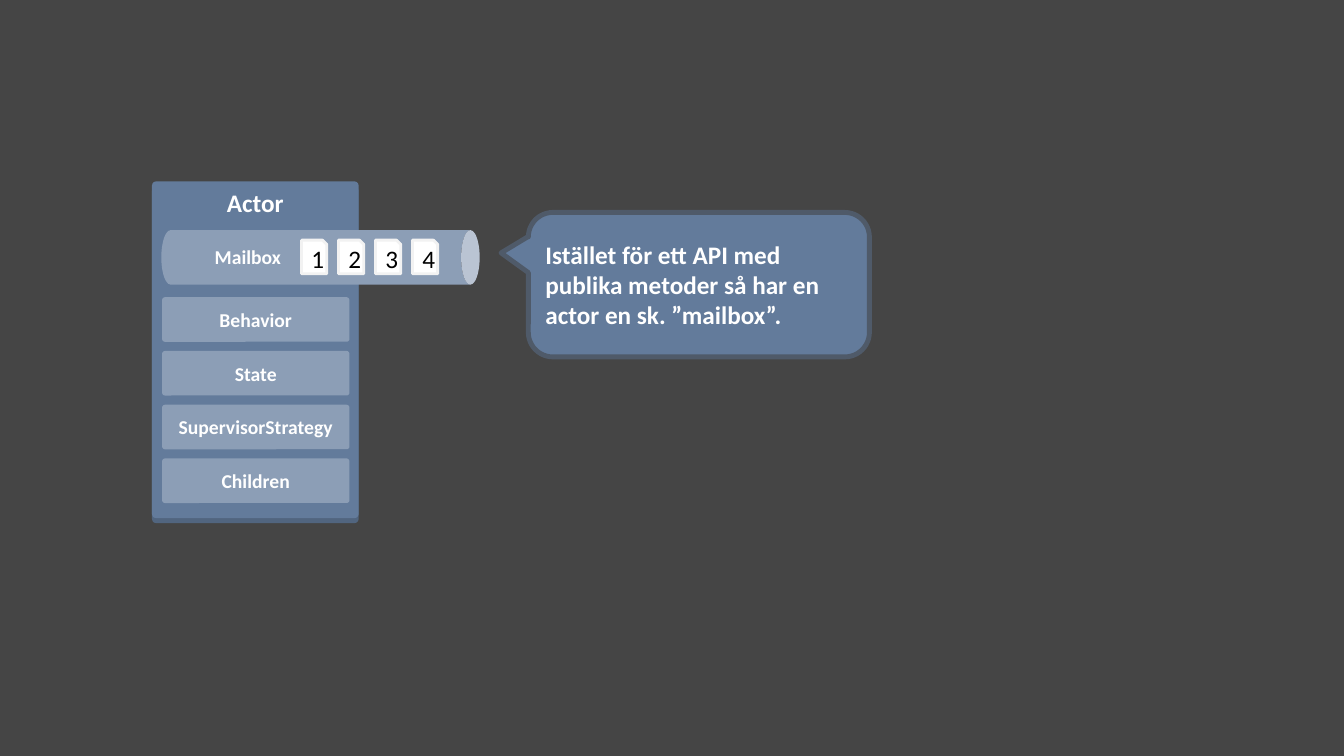
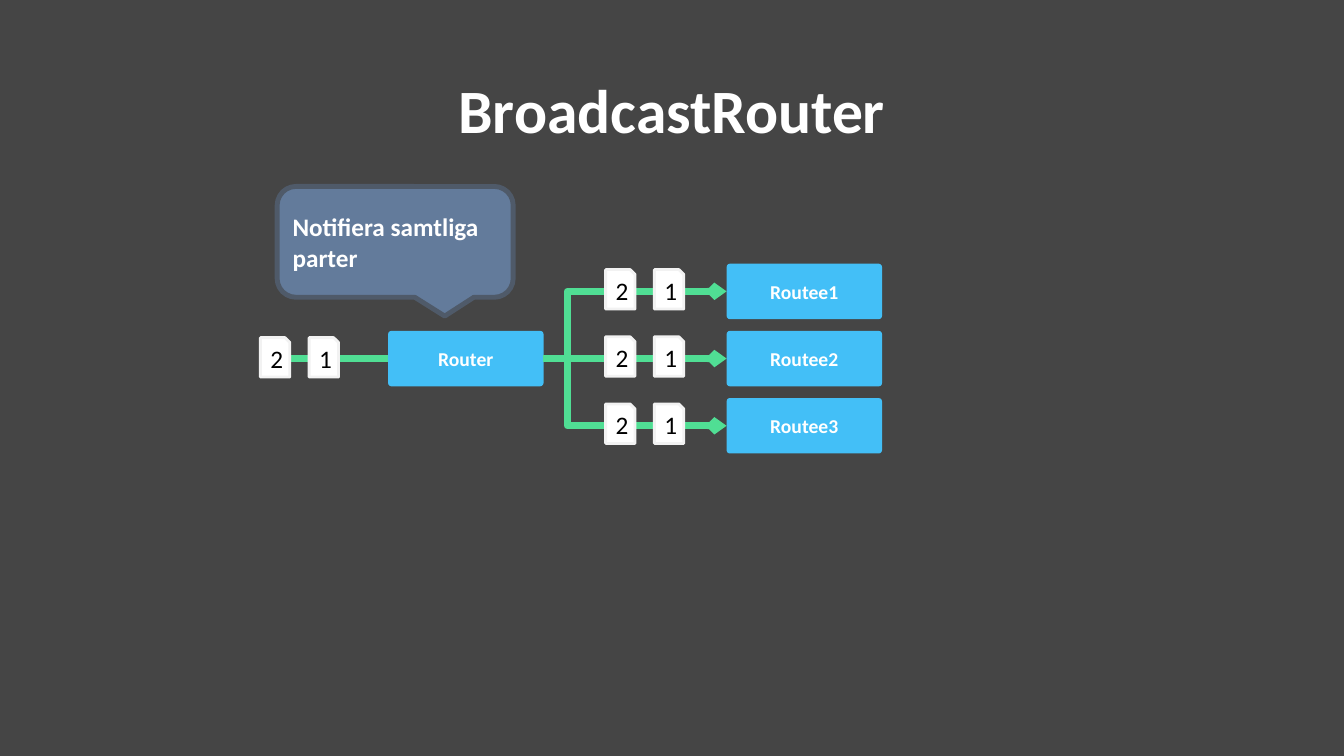
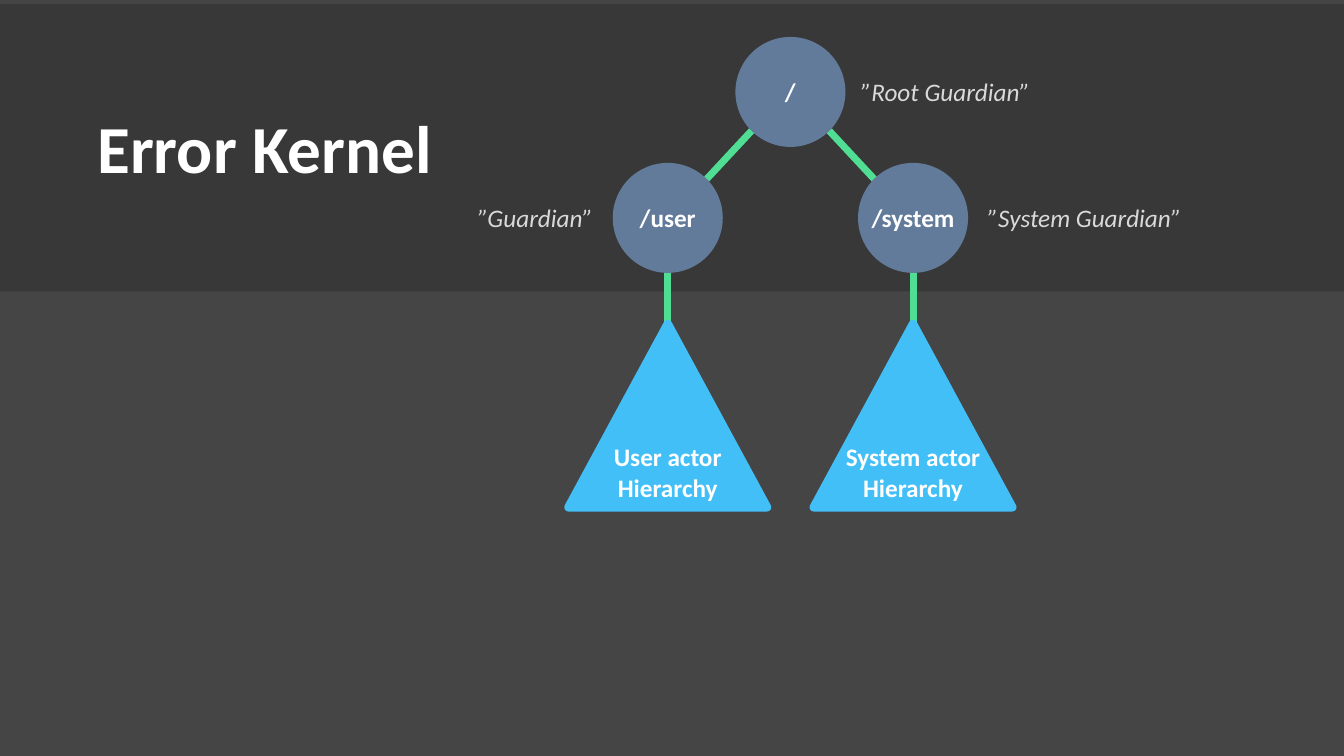
import dataclasses
import math

import pptx
import pptx.dml.color
import pptx.enum.shapes
import pptx.enum.text
import pptx.oxml
import pptx.oxml.ns
import pptx.util

SHAPE = pptx.enum.shapes.MSO_SHAPE
CONNECTOR = pptx.enum.shapes.MSO_CONNECTOR
ALIGN = pptx.enum.text.PP_ALIGN
ANCHOR = pptx.enum.text.MSO_ANCHOR
NAMESPACE = pptx.oxml.ns.nsdecls("a")

# The slide is a grid of 16 columns and 9 rows with square cells.
SLIDE_WIDTH = pptx.util.Inches(13.33)
SLIDE_HEIGHT = pptx.util.Inches(7.5)
CELL = SLIDE_WIDTH / 16

FONT = "Calibri"
WHITE, BLACK = "FFFFFF", "000000"
BACKGROUND, BAND = "454545", "262626"
STEEL, STEEL_DARK, STEEL_LIGHT, STEEL_EDGE = "637B9B", "51657F", "8C9EB6", "4F5A69"
SKY, GREEN = "43BFF7", "50DE94"
NOTE_EDGE, CAPTION = "F2F2F2", "D9D9D9"
CORNER = 0.06


@dataclasses.dataclass(frozen=True)
class Box:
    """A rectangle on the grid, in cells."""
    left: float
    top: float
    width: float
    height: float

    def offset(self, right, down, width, height):
        """Return a box placed relative to this one's top left corner."""
        return Box(self.left + right, self.top + down, width, height)

    def center(self):
        return self.left + self.width / 2, self.top + self.height / 2

    def emu(self):
        return [cells(value) for value in dataclasses.astuple(self)]


def cells(count):
    return pptx.util.Emu(round(count * CELL))


def color(hex_string):
    return pptx.dml.color.RGBColor.from_string(hex_string)


def write(shape, text, size=18, text_color=WHITE, bold=True, italic=False,
          align=ALIGN.CENTER, anchor=ANCHOR.MIDDLE, wrap=True, line_spacing=None):
    """Fill the shape with text, one paragraph for each line."""
    frame = shape.text_frame
    frame.word_wrap = wrap
    frame.vertical_anchor = anchor
    for index, line in enumerate(text.split("\n")):
        paragraph = frame.add_paragraph() if index else frame.paragraphs[0]
        paragraph.alignment = align
        paragraph.line_spacing = line_spacing
        run = paragraph.add_run()
        run.text = line
        run.font.name = FONT
        run.font.size = pptx.util.Pt(size)
        run.font.bold = bold
        run.font.italic = italic
        run.font.color.rgb = color(text_color)


def add_text(slide, box, text, **text_format):
    shape = slide.shapes.add_textbox(*box.emu())
    write(shape, text, **text_format)


def round_joins(line):
    line._get_or_add_ln().append(pptx.oxml.parse_xml(f"<a:round {NAMESPACE}/>"))


def add_shape(slide, kind, box, fill, text="", line=None, line_width=1,
              adjustments=(), **text_format):
    shape = slide.shapes.add_shape(kind, *box.emu())
    shape.shadow.inherit = False
    shape.fill.solid()
    shape.fill.fore_color.rgb = color(fill)
    if line:
        shape.line.color.rgb = color(line)
        shape.line.width = pptx.util.Pt(line_width)
        round_joins(shape.line)
    else:
        shape.line.fill.background()
    for index, value in enumerate(adjustments):
        shape.adjustments[index] = value
    if text:
        write(shape, text, **text_format)
    return shape


def add_link(slide, start, end, elbow=None, arrow=False):
    """Draw a green line; elbow is the share of its width where it bends."""
    kind = CONNECTOR.STRAIGHT if elbow is None else CONNECTOR.ELBOW
    link = slide.shapes.add_connector(kind, *[cells(value) for value in (*start, *end)])
    link.line.color.rgb = color(GREEN)
    link.line.width = pptx.util.Pt(5)
    round_joins(link.line)
    properties = link._element.spPr
    if arrow:
        link.line._get_or_add_ln().append(pptx.oxml.parse_xml(
            f'<a:tailEnd {NAMESPACE} type="arrow" w="sm" len="sm"/>'))
    if elbow is not None:
        guides = properties.find(pptx.oxml.ns.qn("a:prstGeom")).get_or_add_avLst()
        guides.append(pptx.oxml.parse_xml(
            f'<a:gd {NAMESPACE} name="adj1" fmla="val {round(elbow * 100000)}"/>'))
    properties.append(pptx.oxml.parse_xml(f"<a:effectLst {NAMESPACE}/>"))
    return link


def add_note(slide, box, number):
    add_shape(slide, SHAPE.SNIP_1_RECTANGLE, box, WHITE, str(number), line=NOTE_EDGE,
              line_width=2, text_color=BLACK, bold=False)


def add_label_box(slide, box, fill, text):
    return add_shape(slide, SHAPE.ROUNDED_RECTANGLE, box, fill, text, size=14,
                     adjustments=[CORNER])


def add_callout(slide, box, text, pointer):
    add_shape(slide, SHAPE.ROUNDED_RECTANGULAR_CALLOUT, box, STEEL, text,
              line=STEEL_EDGE, line_width=3.5, adjustments=[*pointer, 0.17],
              align=ALIGN.LEFT)


def add_mailbox(slide, box):
    """Draw a lying cylinder that holds four notes."""
    middle, center = box.center()
    upright = Box(middle - box.height / 2, center - box.width / 2, box.height, box.width)
    cylinder = add_shape(slide, SHAPE.CAN, upright, STEEL_LIGHT, adjustments=[0.34])
    cylinder.rotation = 90
    for index in range(4):
        add_note(slide, box.offset(1.67 + index * 0.44, 0.12, 0.3, 0.4), index + 1)
    add_text(slide, box.offset(0.26, 0.17, 1.54, 0.29), "Mailbox", size=14)


def add_actor(slide, box):
    add_shape(slide, SHAPE.ROUNDED_RECTANGLE, box.offset(0, 0.06, box.width, box.height),
              STEEL_DARK, adjustments=[0.02])
    add_shape(slide, SHAPE.ROUNDED_RECTANGLE, box, STEEL, "Actor", adjustments=[0.02],
              anchor=ANCHOR.TOP)
    for index, name in enumerate(["Behavior", "State", "SupervisorStrategy", "Children"]):
        add_label_box(slide, box.offset(0.12, 1.38 + index * 0.64, 2.23, 0.53),
                      STEEL_LIGHT, name)
    add_mailbox(slide, box.offset(0.11, 0.58, 3.79, 0.65))


def add_message_pair(slide, box):
    """Put notes 2 and 1 at the left and right ends of the box."""
    note_width = 0.35
    for number, right in ((1, box.width - note_width), (2, 0)):
        add_note(slide, box.offset(right, 0, note_width, box.height), number)


def add_broadcast(slide, box):
    """Draw a router that sends its messages on to three routees."""
    step, width, height = 0.8, 1.85, 0.66
    router_box = box.offset(1.52, step, width, height)
    router = add_label_box(slide, router_box, SKY, "Router")
    middle = router_box.center()[1]
    output = (router_box.left + width, middle)
    incoming = add_link(slide, (box.left + 0.2, middle), (router_box.left, middle))
    incoming.end_connect(router, 1)
    add_message_pair(slide, box.offset(0, step + 0.08, 0.93, 0.47))
    for index in range(3):
        routee_box = box.offset(box.width - width, index * step, width, height)
        routee = add_label_box(slide, routee_box, SKY, f"Routee{index + 1}")
        straight = index == 1
        link = add_link(slide, output, (routee_box.left, routee_box.center()[1]),
                        elbow=None if straight else 0.13, arrow=True)
        if straight:
            link.begin_connect(router, 3)
            link.end_connect(routee, 1)
        add_message_pair(slide, routee_box.offset(-1.44, 0.07, 0.93, 0.47))


def add_guardian_tree(slide, box):
    """Draw the root, its two children and a hierarchy under each child."""
    size, drop = 1.31, 1.5
    triangle_width, triangle_height = 2.36, 2.18
    diagonal = size / 2 * math.sqrt(0.5)
    middle = box.left + box.width / 2
    root = Box(middle - size / 2, box.top, size, size)
    root_center = root.center()
    add_shape(slide, SHAPE.OVAL, root, STEEL, "/")
    for side, name, kind in ((-1, "/user", "User"), (1, "/system", "System")):
        child = root.offset(side * 1.46, drop, size, size)
        child_center = child.center()
        add_link(slide,
                 (root_center[0] + side * diagonal, root_center[1] + diagonal),
                 (child_center[0] - side * diagonal, child_center[1] - diagonal))
        triangle = Box(child_center[0] - triangle_width / 2,
                       box.top + box.height - triangle_height,
                       triangle_width, triangle_height)
        add_link(slide, (child_center[0], child.top + size),
                 (child_center[0], triangle.top))
        add_shape(slide, SHAPE.OVAL, child, STEEL, name, wrap=False)
        add_shape(slide, SHAPE.ISOSCELES_TRIANGLE, triangle, SKY,
                  f"{kind} actor\nHierarchy", line=SKY, line_width=6.25,
                  anchor=ANCHOR.BOTTOM, wrap=False)
    for right, down, width, text in ((4.87, 1.91, 2.57, "”System Guardian”"),
                                     (-1.2, 1.91, 1.63, "”Guardian”"),
                                     (3.36, 0.41, 2.28, "”Root Guardian”")):
        add_text(slide, box.offset(right, down, width, 0.48), text, text_color=CAPTION,
                 bold=False, italic=True, align=ALIGN.LEFT, anchor=ANCHOR.TOP, wrap=False)


def add_band(slide, box):
    band = add_shape(slide, SHAPE.RECTANGLE, box, BAND)
    fill_color = band._element.spPr.find(".//" + pptx.oxml.ns.qn("a:srgbClr"))
    fill_color.append(pptx.oxml.parse_xml(f'<a:alpha {NAMESPACE} val="40000"/>'))


def build_actor_slide(slide):
    add_actor(slide, Box(1.81, 2.16, 2.46, 4.01))
    add_callout(slide, Box(6.29, 2.53, 4.06, 1.72),
                "Istället för ett API med publika metoder så har en actor en sk. ”mailbox”.",
                pointer=(-0.58, -0.22))


def build_router_slide(slide):
    add_text(slide, Box(1.1, 0.48, 13.8, 1.74), "BroadcastRouter", size=44,
             line_spacing=0.9)
    add_broadcast(slide, Box(3.1, 3.14, 7.4, 2.26))
    add_callout(slide, Box(3.3, 2.22, 2.81, 1.32), "Notifiera samtliga parter",
                pointer=(0.21, 0.67))


def build_kernel_slide(slide):
    add_band(slide, Box(0, 0.05, 16, 3.42))
    add_text(slide, Box(1.04, 1.21, 4.42, 1.09), "Error Kernel", size=48,
             align=ALIGN.LEFT, anchor=ANCHOR.TOP)
    add_guardian_tree(slide, Box(6.77, 0.44, 5.28, 5.6))


def main():
    presentation = pptx.Presentation()
    presentation.slide_width = SLIDE_WIDTH
    presentation.slide_height = SLIDE_HEIGHT
    background = presentation.slide_master.background.fill
    background.solid()
    background.fore_color.rgb = color(BACKGROUND)
    blank = presentation.slide_layouts[6]
    for build in (build_actor_slide, build_router_slide, build_kernel_slide):
        build(presentation.slides.add_slide(blank))
    presentation.save("out.pptx")


if __name__ == "__main__":
    main()
